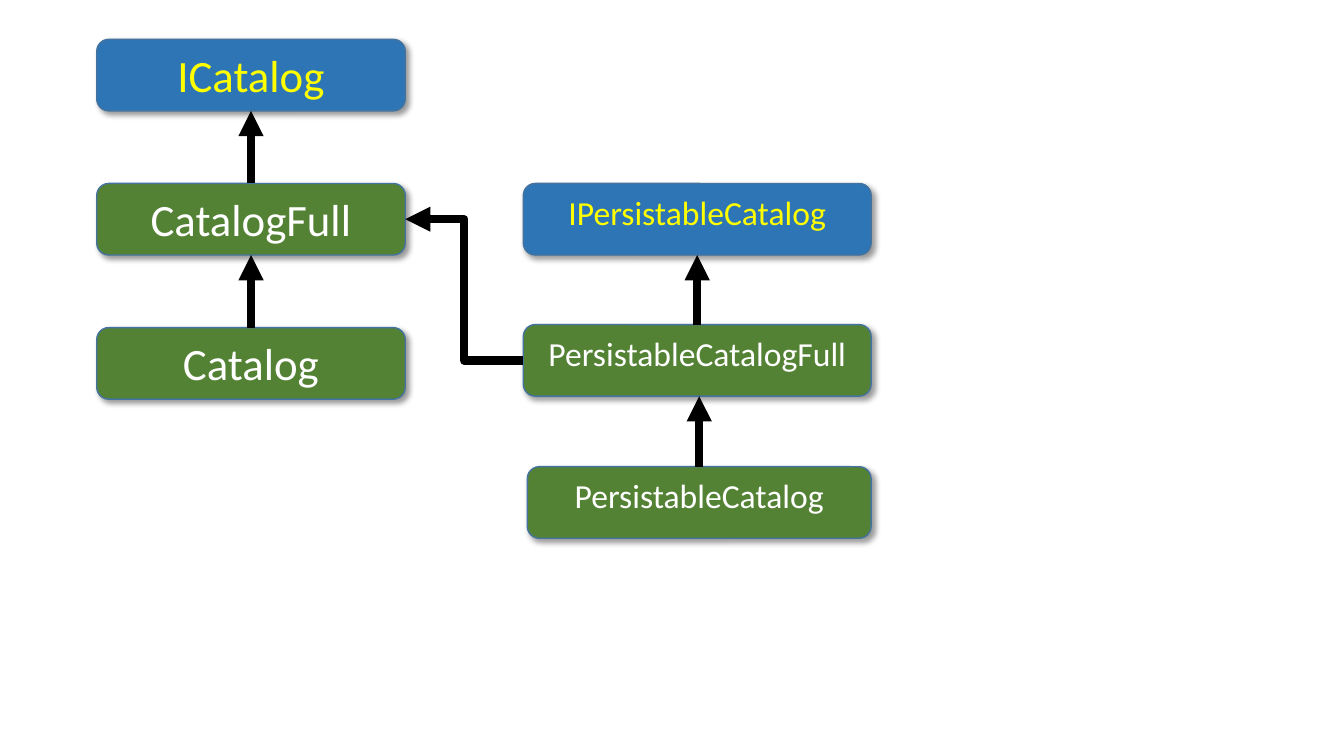
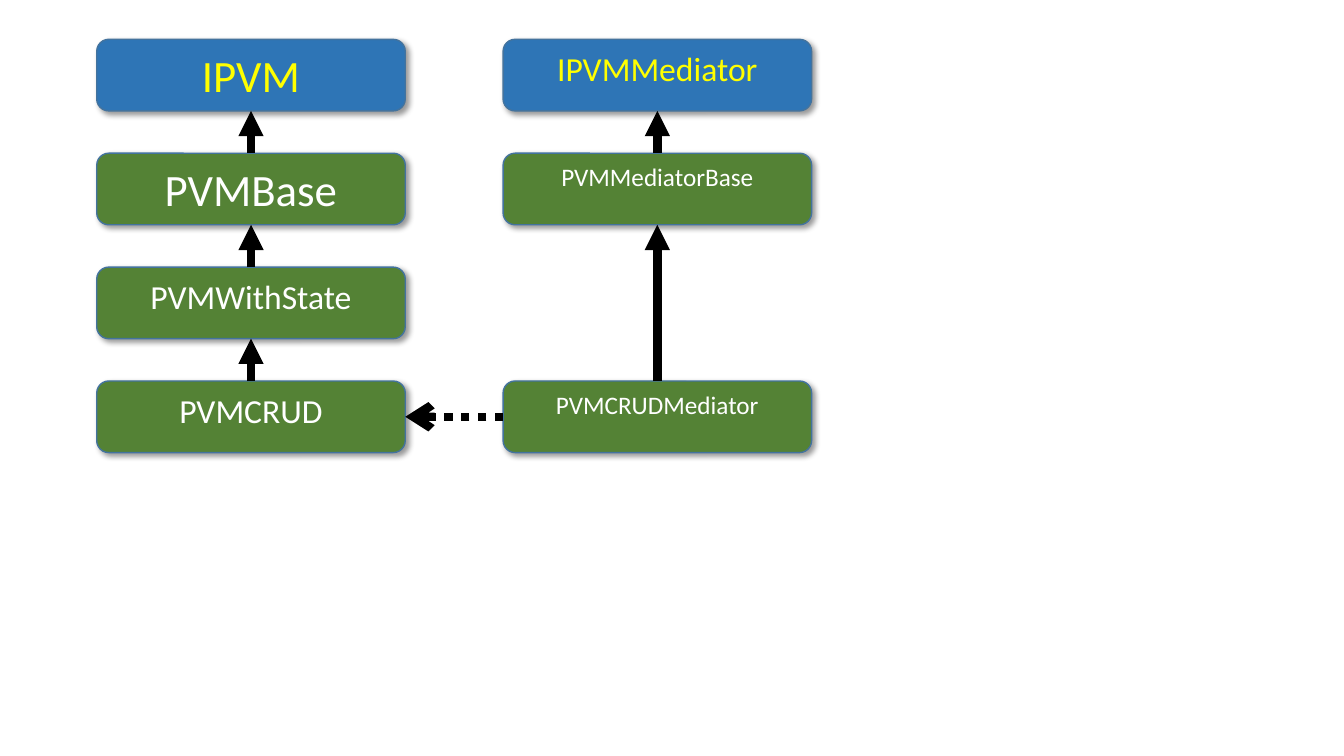
from lxml import etree
from pptx import Presentation
from pptx import util as u
from pptx.dml.color import RGBColor
from pptx.enum import dml, shapes, text
from pptx.oxml.ns import qn

PX = 9144  # EMU in one px, 100 px to the inch
HIGH = 71
COLORS = {"blue": "2E75B6", "green": "548235", "edge": "43739E",
          "yellow": "FFFF00", "white": "FFFFFF", "black": "000000"}
KINDS = {"face": ("blue", "yellow"), "class": ("green", "white")}
TOP, LEFT, BOTTOM, RIGHT = range(4)


def rgb(name):
    return RGBColor.from_string(COLORS[name])


def put(obj, **values):
    for key, value in values.items():
        setattr(obj, key, value)


def sub(node, tag, **values):
    return etree.SubElement(node, qn(tag), values)


# Soft shadow towards the lower right
def shade(shape):
    shape.shadow.inherit = False
    effects = shape._element.spPr.find(qn("a:effectLst"))
    outer = sub(effects, "a:outerShdw", blurRad="50800", dist="38100",
                dir="2700000", algn="tl", rotWithShape="0")
    color = sub(outer, "a:srgbClr", val=COLORS["black"])
    sub(color, "a:alpha", val="40000")


# Rounded box for an interface or a class
def box(slide, name, kind, size, x, y, wide):
    fill, ink = KINDS[kind]
    shape = slide.shapes.add_shape(
        shapes.MSO_SHAPE.ROUNDED_RECTANGLE,
        *(n * PX for n in (x, y, wide, HIGH)))
    shape.fill.solid()
    shape.fill.fore_color.rgb = rgb(fill)
    shape.line.color.rgb = rgb("edge")
    shape.line.width = u.Pt(1)
    shade(shape)
    frame = shape.text_frame
    put(frame, word_wrap=True, vertical_anchor=text.MSO_ANCHOR.TOP)
    para = frame.paragraphs[0]
    para.alignment = text.PP_ALIGN.CENTER
    run = para.add_run()
    run.text = name
    put(run.font, size=u.Pt(size), name="Calibri")
    run.font.color.rgb = rgb(ink)
    return shape


# Thick black arrow; a free end is given by a point
def arrow(slide, start, end, bent=False, dash=None, head="triangle"):
    form = shapes.MSO_CONNECTOR.ELBOW if bent else shapes.MSO_CONNECTOR.STRAIGHT
    line = slide.shapes.add_connector(form, 0, 0, 0, 0)
    line.begin_connect(*start)
    if isinstance(end[0], int):
        put(line, end_x=end[0], end_y=end[1])
    else:
        line.end_connect(*end)
    line.line.color.rgb = rgb("black")
    line.line.width = u.Pt(6)
    if dash:
        line.line.dash_style = dash
    sub(line.line._get_or_add_ln(), "a:tailEnd", type=head)
    sub(line._element.spPr, "a:effectLst")


# Straight upward arrow from a child to its parent
def rise(slide, child, parent):
    mid = child.left + child.width // 2
    level = mid == parent.left + parent.width // 2
    end = (parent, BOTTOM) if level else (mid, parent.top + parent.height)
    arrow(slide, (child, TOP), end)


# Column with the interface on top, each class below pointing up
def column(slide, x, y, wide, step, items):
    boxes = []
    for row, name, size in items:
        kind = "class" if boxes else "face"
        boxes.append(box(slide, name, kind, size, x, y + row * step, wide))
    for parent, child in zip(boxes, boxes[1:]):
        rise(slide, child, parent)
    return boxes


def catalogs(slide):
    _, full, _ = column(slide, 96, 39, 306, 143, [
        (0, "ICatalog", 32), (1, "CatalogFull", 32), (2, "Catalog", 32)])
    _, lasting = column(slide, 519, 182, 345, 140, [
        (0, "IPersistableCatalog", 24), (1, "PersistableCatalogFull", 24)])
    leaf = box(slide, "PersistableCatalog", "class", 24, 523, 463, 341)
    rise(slide, leaf, lasting)
    arrow(slide, (lasting, LEFT), (full, RIGHT), bent=True)


def models(slide):
    *_, crud = column(slide, 96, 39, 306, 113, [
        (0, "IPVM", 32), (1, "PVMBase", 32),
        (2, "PVMWithState", 24), (3, "PVMCRUD", 24)])
    *_, agent = column(slide, 499, 39, 306, 113, [
        (0, "IPVMMediator", 24), (1, "PVMMediatorBase", 18),
        (3, "PVMCRUDMediator", 18)])
    arrow(slide, (agent, LEFT), (crud, RIGHT),
          dash=dml.MSO_LINE.ROUND_DOT, head="arrow")


def main():
    deck = Presentation()
    put(deck, slide_width=1333 * PX, slide_height=750 * PX)
    for draw in (catalogs, models):
        draw(deck.slides.add_slide(deck.slide_layouts[6]))
    deck.save("out.pptx")


if __name__ == "__main__":
    main()
